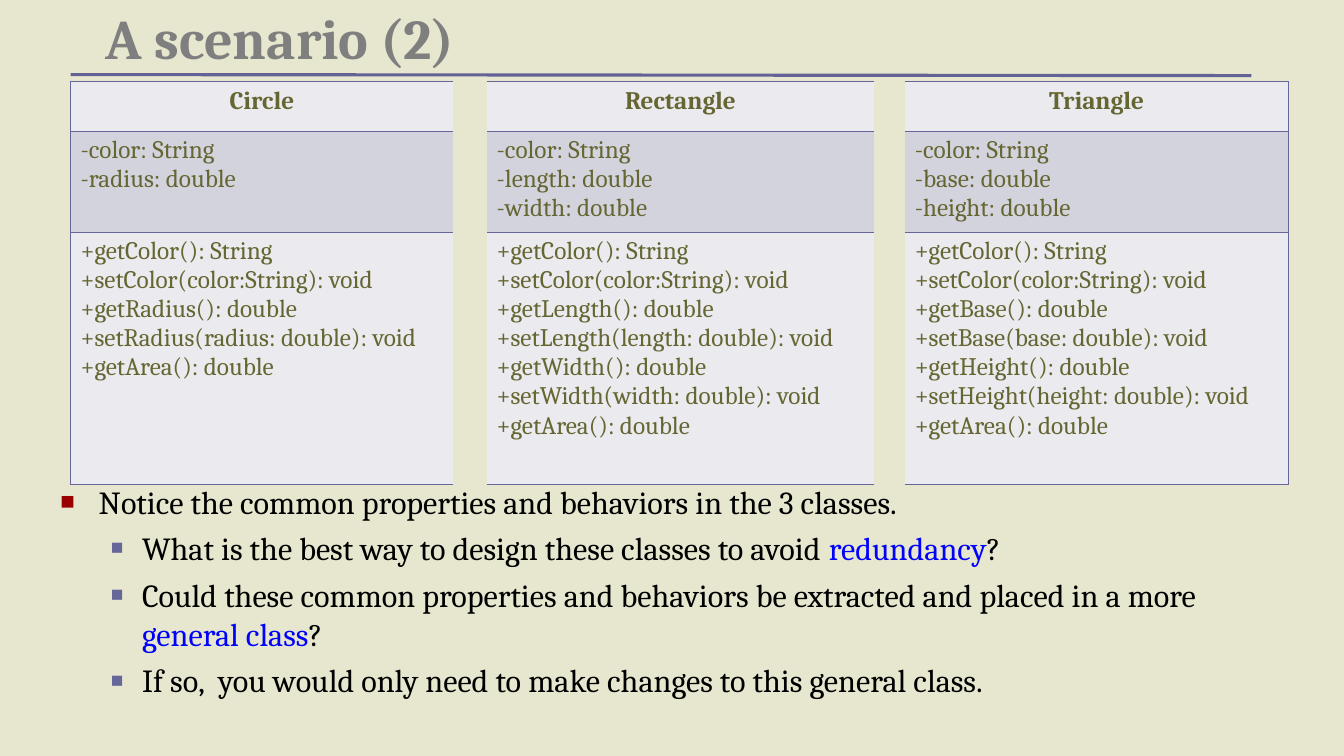
from lxml import etree
from pptx import Presentation
from pptx import util as u
from pptx.dml.color import RGBColor
from pptx.enum import shapes, text
from pptx.oxml.ns import qn

FONT = "Cambria"
INK, EDGE, BLUE = "666633", "666699", "0000FF"
TITLE = "A scenario (2)"
CLASSES = [
    ("Circle", [("color", "String"), ("radius", "double")]),
    ("Rectangle", [("color", "String"), ("length", "double"), ("width", "double")]),
    ("Triangle", [("color", "String"), ("base", "double"), ("height", "double")]),
]
# level, runs of (text, colour)
POINTS = [
    (0, [("Notice the common properties and behaviors in the 3 classes.", "000000")]),
    (1, [("What is the best way to design these classes to avoid ", "000000"),
         ("redundancy", BLUE), ("?", "000000")]),
    (1, [("Could these common properties and behaviors be extracted and placed in a more ",
          "000000"), ("general class", BLUE), ("?", "000000")]),
    (1, [("If so,  you would only need to make changes to this general class.", "000000")]),
]
# per level: left margin, indent, space before, bullet colour, bullet size in percent
LEVELS = [(0.38, -0.38, 0, "990000", 75), (0.81, -0.31, 5.8, EDGE, 65)]
COLUMNS = [3.8, 0.33, 3.85, 0.3, 3.81]
ROWS = [0.49, 1, 2.5]
ROW_FILLS = ["EAEAEF", "D3D3DE", "EAEAEF"]
NO_GRID_STYLE = "{2D5ABB26-0587-4C30-8999-92F81FD0307C}"


def rgb(value):
    return RGBColor.from_string(value)


def add(parent, tag, **attrs):
    return etree.SubElement(parent, qn(tag), {k: str(v) for k, v in attrs.items()})


def place(sp, *box):
    sp.left, sp.top, sp.width, sp.height = map(u.Inches, box)


def style(font, size, color=None, bold=False):
    font.name, font.size, font.bold = FONT, u.Pt(size), bold
    if color:
        font.color.rgb = rgb(color)


def methods(fields):
    """List a getter and a setter for each field, then getArea."""
    lines = []
    for name, kind in fields:
        cap = name.capitalize()
        arg = f"{name}:{kind}" if kind == "String" else f"{name}: {kind}"
        lines += [f"+get{cap}(): {kind}", f"+set{cap}({arg}): void"]
    return lines + ["+getArea(): double"]


def border(cell, sides):
    tc_pr = cell._tc.get_or_add_tcPr()
    for i, side in enumerate(sides):
        ln = etree.Element(qn(f"a:ln{side}"), w=str(u.Pt(0.45)))
        add(add(ln, "a:solidFill"), "a:srgbClr", val=EDGE)
        tc_pr.insert(i, ln)


def fill_cell(cell, lines, row):
    cell.fill.solid()
    cell.fill.fore_color.rgb = rgb(ROW_FILLS[row])
    tf = cell.text_frame
    tf.text = "\n".join(lines)
    for p in tf.paragraphs:
        p.alignment = text.PP_ALIGN.LEFT if row else text.PP_ALIGN.CENTER
        style(p.font, 18, INK, bold=row == 0)


def add_classes(slide):
    frame = slide.shapes.add_table(
        len(ROWS), len(COLUMNS), u.Inches(0.7), u.Inches(0.81),
        u.Inches(sum(COLUMNS)), u.Inches(sum(ROWS)))
    table = frame.table
    table.first_row = table.horz_banding = False
    table._tbl.tblPr.find(qn("a:tableStyleId")).text = NO_GRID_STYLE
    for col, width in zip(table.columns, COLUMNS):
        col.width = u.Inches(width)
    for row, height in zip(table.rows, ROWS):
        row.height = u.Inches(height)
    for i, (name, fields) in enumerate(CLASSES):
        parts = [[name], [f"-{n}: {kind}" for n, kind in fields], methods(fields)]
        sides = ["L"] * (i == 0) + ["R"] * (i == len(CLASSES) - 1) + ["T", "B"]
        for row, lines in enumerate(parts):
            cell = table.cell(row, 2 * i)
            fill_cell(cell, lines, row)
            border(cell, sides)


def add_points(sp):
    place(sp, 0.5, 4.73, 12.17, 2.45)
    tf = sp.text_frame
    tf.auto_size = text.MSO_AUTO_SIZE.NONE
    for i, (level, runs) in enumerate(POINTS):
        p = tf.add_paragraph() if i else tf.paragraphs[0]
        margin, indent, before, color, percent = LEVELS[level]
        p.level = level
        p_pr = p._p.get_or_add_pPr()
        p_pr.set("marL", str(u.Inches(margin)))
        p_pr.set("indent", str(u.Inches(indent)))
        add(add(p_pr, "a:buClr"), "a:srgbClr", val=color)
        add(p_pr, "a:buSzPct", val=percent * 1000)
        add(p_pr, "a:buFont", typeface="Arial")
        add(p_pr, "a:buChar", char="■")
        p.space_before = u.Pt(before)
        style(p.font, 23)
        for words, ink in runs:
            r = p.add_run()
            r.text = words
            r.font.color.rgb = rgb(ink)


def main():
    prs = Presentation()
    prs.slide_width, prs.slide_height = u.Inches(13.34), u.Inches(7.5)
    slide = prs.slides.add_slide(prs.slide_layouts[1])
    slide.background.fill.solid()
    slide.background.fill.fore_color.rgb = rgb("E7E7CF")

    title = slide.shapes.title
    place(title, 0.95, 0, 10.16, 0.75)
    tf = title.text_frame
    tf.text = TITLE
    tf.auto_size = text.MSO_AUTO_SIZE.NONE
    tf.vertical_anchor = text.MSO_ANCHOR.BOTTOM
    p = tf.paragraphs[0]
    p.alignment, p.line_spacing = text.PP_ALIGN.LEFT, 0.8
    style(p.font, 40, "7F7F7F", bold=True)

    add_points(slide.placeholders[1])
    add_classes(slide)

    rule = slide.shapes.add_connector(
        shapes.MSO_CONNECTOR.STRAIGHT,
        *map(u.Inches, (0.7, 0.74, 12.42, 0.75)))
    rule.line.color.rgb = rgb("626297")
    rule.line.width = u.Pt(2.25)
    add(rule._element.spPr, "a:effectLst")
    prs.save("out.pptx")


if __name__ == "__main__":
    main()
